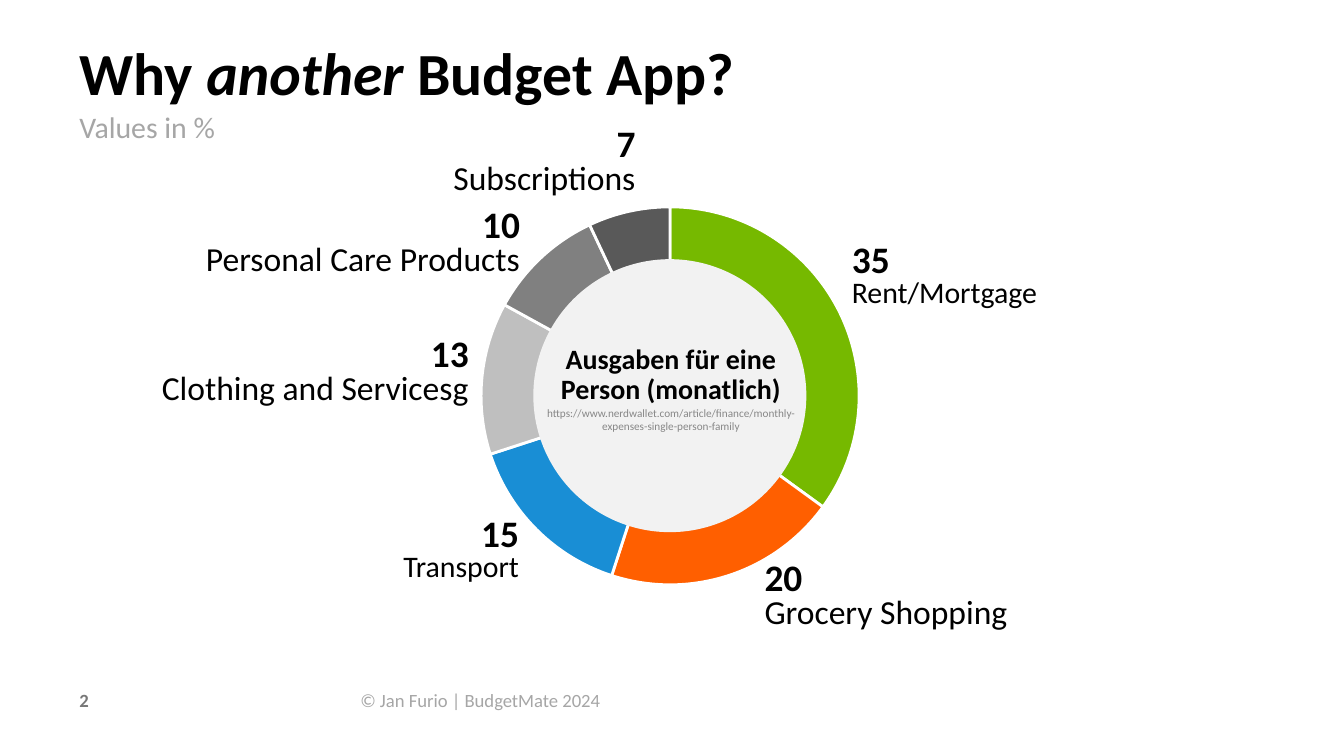
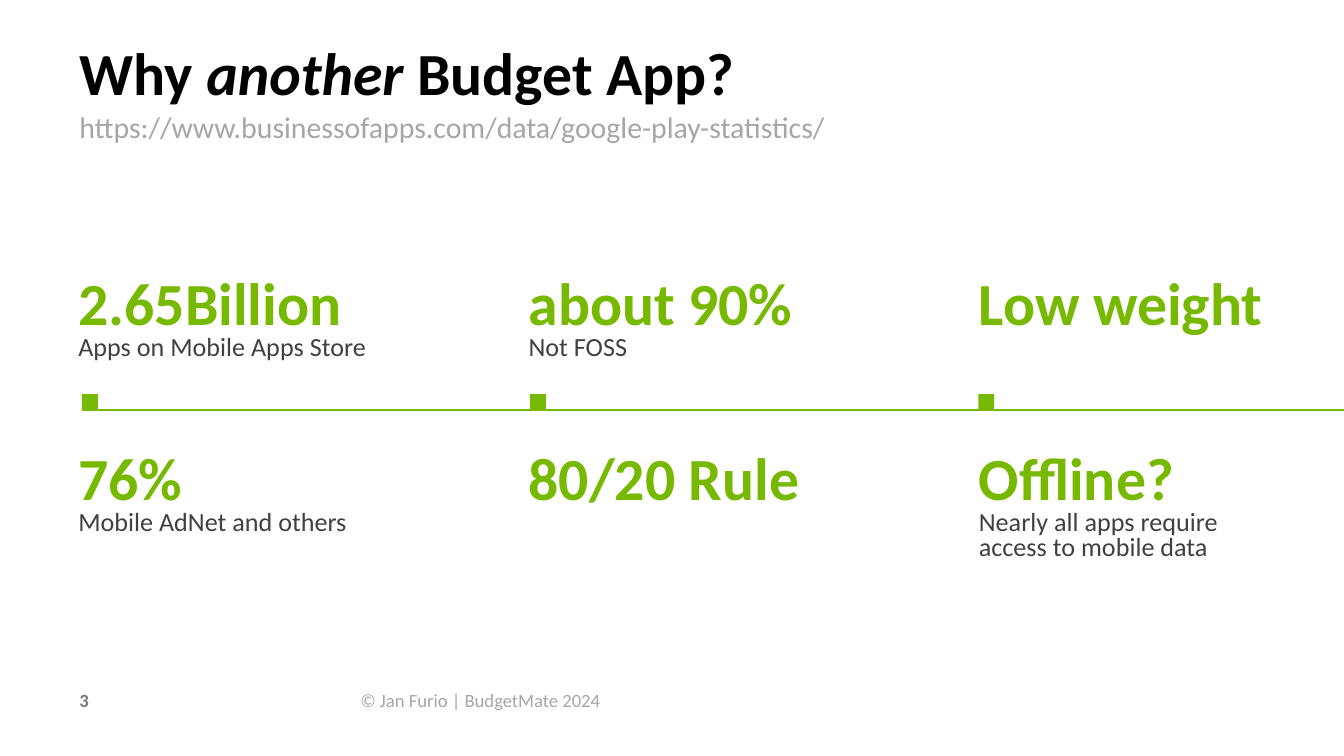
from dataclasses import dataclass

from lxml import etree
from pptx import Presentation
from pptx.chart.data import CategoryChartData
from pptx.dml.color import RGBColor
from pptx.enum.chart import XL_CHART_TYPE
from pptx.enum.shapes import MSO_CONNECTOR, MSO_SHAPE
from pptx.enum.text import MSO_ANCHOR, MSO_AUTO_SIZE, PP_ALIGN
from pptx.oxml.ns import qn
from pptx.util import Cm, Pt

RING = XL_CHART_TYPE.DOUGHNUT
STRAIGHT = MSO_CONNECTOR.STRAIGHT
OVAL, RECT = MSO_SHAPE.OVAL, MSO_SHAPE.RECTANGLE
LEFT, MID, RIGHT = PP_ALIGN.LEFT, PP_ALIGN.CENTER, PP_ALIGN.RIGHT
TOP = MSO_ANCHOR.TOP
FIT, FIXED = MSO_AUTO_SIZE.SHAPE_TO_FIT_TEXT, MSO_AUTO_SIZE.NONE


@dataclass(frozen=True)
class Theme:
    font: str = "Calibri"
    black: str = "000000"
    white: str = "FFFFFF"
    green: str = "76B900"
    blue: str = "0082D1"
    disc: str = "F2F2F2"
    body: str = "404040"
    mute: str = "A6A6A6"
    page: str = "787878"
    cite: str = "878787"
    slices: tuple = ("76B900", "FF5F00", "0082D1", "BFBFBF", "808080", "595959")
    head: int = 32
    value: int = 20
    name: int = 18
    sub: int = 16
    hub: int = 15
    note: int = 14
    foot: int = 10
    tiny: int = 6


T = Theme()
WIDTH, HEIGHT = 25.4, 14.29
EDGE = 1.5

# Value, name, name size, alignment, box (left, top, width, height)
COSTS = [
    (35, "Rent/Mortgage", T.sub, LEFT, (16.1, 4.62, 4.83, 1.8)),
    (20, "Grocery Shopping", T.name, LEFT, (14.45, 10.64, 7.09, 1.32)),
    (15, "Transport", T.sub, RIGHT, (7.14, 9.8, 2.67, 1.24)),
    (13, "Clothing and Servicesg", T.name, RIGHT, (-1.55, 6.4, 10.41, 1.32)),
    (10, "Personal Care Products", T.name, RIGHT, (-0.58, 3.96, 10.41, 1.32)),
    (7, "Subscriptions", T.name, RIGHT, (1.6, 2.44, 10.41, 1.32)),
]

# Rows of facts: headline, note, width, height
FACTS = [
    [("2.65Billion", "Apps on Mobile Apps Store", 7.34, 1.57),
     ("about 90%", "Not FOSS", 5, 1.57),
     ("Low weight", "", 5.69, 1.12)],
    [("76%", "Mobile AdNet and others", 5.79, 1.57),
     ("80/20 Rule", "", 6.2, 1.12),
     ("Offline?", "Nearly all apps require access to mobile data", 4.9, 2.06)],
]


def tint(code):
    return RGBColor.from_string(code)


def place(box):
    return [Cm(n) for n in box]


def apply(item, form):
    for key, val in form.items():
        setattr(item, key, val)


def style(font, size, color, **form):
    apply(font, {"name": T.font, "size": Pt(size), **form})
    font.color.rgb = tint(color)


def write(para, text, size, color, **form):
    run = para.add_run()
    run.text = text
    style(run.font, size, color, **form)


def setup(frame, inset=0, fit=FIT):
    sides = ("margin_left", "margin_right", "margin_top", "margin_bottom")
    apply(frame, {side: inset for side in sides})
    apply(frame, {"word_wrap": True, "auto_size": fit, "vertical_anchor": TOP})


def add_box(slide, box, fit=FIT):
    frame = slide.shapes.add_textbox(*place(box)).text_frame
    setup(frame, fit=fit)
    return frame


def add_pair(slide, box, top, low, align=LEFT):
    """Bold first line with an optional plain line below it."""
    para = add_box(slide, box).paragraphs[0]
    apply(para, {"alignment": align, "line_spacing": 0.8})
    write(para, *top, bold=True)
    if low[0]:
        para.add_line_break()
        write(para, *low, bold=False)


def add_solid(slide, kind, box, color):
    shape = slide.shapes.add_shape(kind, *place(box))
    shape.shadow.inherit = False
    shape.fill.solid()
    shape.fill.fore_color.rgb = tint(color)
    shape.line.fill.background()


def add_line(slide, start, end, color):
    line = slide.shapes.add_connector(STRAIGHT, *place(start + end))
    line.line.color.rgb = tint(color)
    line.line.width = Pt(1)
    etree.SubElement(line._element.spPr, qn("a:effectLst"))


def add_page(slide, number):
    para = add_box(slide, (EDGE, 13.03, 4.8, 0.51), FIXED).paragraphs[0]
    write(para, str(number), T.foot, T.page, bold=True)
    # Turn the run into a live slide number
    run = para.runs[0]._r
    run.tag = qn("a:fld")
    run.set("id", "{B6F15528-21DE-4FAA-801E-634DDDAF4B2B}")
    run.set("type", "slidenum")


def add_slide(deck, number, sub, span):
    """Slide with the shared title, subtitle and footer."""
    slide = deck.slides.add_slide(deck.slide_layouts[5])
    title = slide.shapes.title
    spot = place((EDGE, 0.84, 20.9, 1.24))
    apply(title, dict(zip(("left", "top", "width", "height"), spot)))
    setup(title.text_frame)
    para = title.text_frame.paragraphs[0]
    apply(para, {"alignment": LEFT, "line_spacing": Pt(34)})
    for text, slant in (("Why ", False), ("another", True), (" Budget App?", False)):
        write(para, text, T.head, T.black, bold=True, italic=slant)

    below = add_box(slide, (EDGE, 2.06, span, 0.69))
    write(below.paragraphs[0], sub, T.sub, T.mute)
    foot = add_box(slide, (6.81, 13.03, 15.24, 0.51), FIXED)
    write(foot.paragraphs[0], "© Jan Furio | BudgetMate 2024", T.foot, T.mute)
    add_page(slide, number)
    return slide


def add_ring(slide, box, vals):
    data = CategoryChartData()
    data.categories = [str(n + 1) for n in range(len(vals))]
    data.add_series("Series 1", vals)
    chart = slide.shapes.add_chart(RING, *place(box), data).chart
    apply(chart, {"has_legend": False, "has_title": False})
    style(chart.font, T.foot, T.black)
    plot = chart.plots[0]
    plot.vary_by_categories = True
    series = plot.series[0]
    for n, color in enumerate(T.slices):
        form = series.points[n].format
        form.fill.solid()
        form.fill.fore_color.rgb = tint(color)
        form.line.color.rgb = tint(T.white)
        form.line.width = Pt(1.5)

    # Blue slice is slightly see-through
    for node in series._element.iter(qn("a:srgbClr")):
        if node.get("val") == T.blue:
            etree.SubElement(node, qn("a:alpha"), val="90000")

    # Hole size and fixed plot area
    root = chart._chartSpace
    next(root.iter(qn("c:holeSize"))).set("val", "80")
    area = next(root.iter(qn("c:plotArea")))
    for old in area.findall(qn("c:layout")):
        area.remove(old)
    layout = etree.Element(qn("c:layout"))
    area.insert(0, layout)
    manual = etree.SubElement(layout, qn("c:manualLayout"))
    rules = {"layoutTarget": "inner", "xMode": "edge", "yMode": "edge",
             "x": "0.2", "y": "0.05", "w": "0.6", "h": "0.9"}
    for key, val in rules.items():
        etree.SubElement(manual, qn("c:" + key), val=val)


def add_hub(slide):
    """Disc in the ring with its caption and source."""
    add_solid(slide, OVAL, (10.08, 4.9, 5.16, 5.16), T.disc)
    frame = add_box(slide, (9.91, 6.4, 5.54, 2.69))
    setup(frame, Cm(0.25))
    apply(frame, {"margin_top": Cm(0.13), "margin_bottom": Cm(0.13)})
    head = frame.paragraphs[0]
    apply(head, {"alignment": MID, "line_spacing": 0.9})
    write(head, "Ausgaben für eine Person (monatlich)", T.hub, T.black, bold=True)
    cite = frame.add_paragraph()
    cite.alignment = MID
    link = "https://www.nerdwallet.com/article/finance/monthly-expenses-single-person-family"
    write(cite, link, T.tiny, T.cite)


def draw_costs(deck):
    slide = add_slide(deck, 2, "Values in %", 6.73)
    add_ring(slide, (6.71, 3.51, 11.91, 7.95), [cost[0] for cost in COSTS])
    add_hub(slide)
    for val, name, size, align, box in COSTS:
        add_pair(slide, box, (str(val), T.value, T.black),
                 (name, size, T.black), align)


def draw_facts(deck):
    link = "https://www.businessofapps.com/data/google-play-statistics/"
    slide = add_slide(deck, 3, link, 16.41)
    # Facts above and below the line
    for row, facts in enumerate(FACTS):
        for col, (head, note, wide, high) in enumerate(facts):
            box = (1.48 + 8.51 * col, 5.28 + 3.31 * row, wide, high)
            add_pair(slide, box, (head, T.head, T.green), (note, T.note, T.body))
    # Line with a square mark at each column
    base, side = 7.75, 0.3
    add_line(slide, (1.55, base), (WIDTH, base), T.green)
    for col in range(len(FACTS[0])):
        add_solid(slide, RECT, (1.55 + 8.47 * col, base - side, side, side), T.green)


def main():
    deck = Presentation()
    apply(deck, {"slide_width": Cm(WIDTH), "slide_height": Cm(HEIGHT)})
    # The page count starts at 2
    deck.element.set("firstSlideNum", "2")
    draw_costs(deck)
    draw_facts(deck)
    deck.save("out.pptx")


if __name__ == "__main__":
    main()
